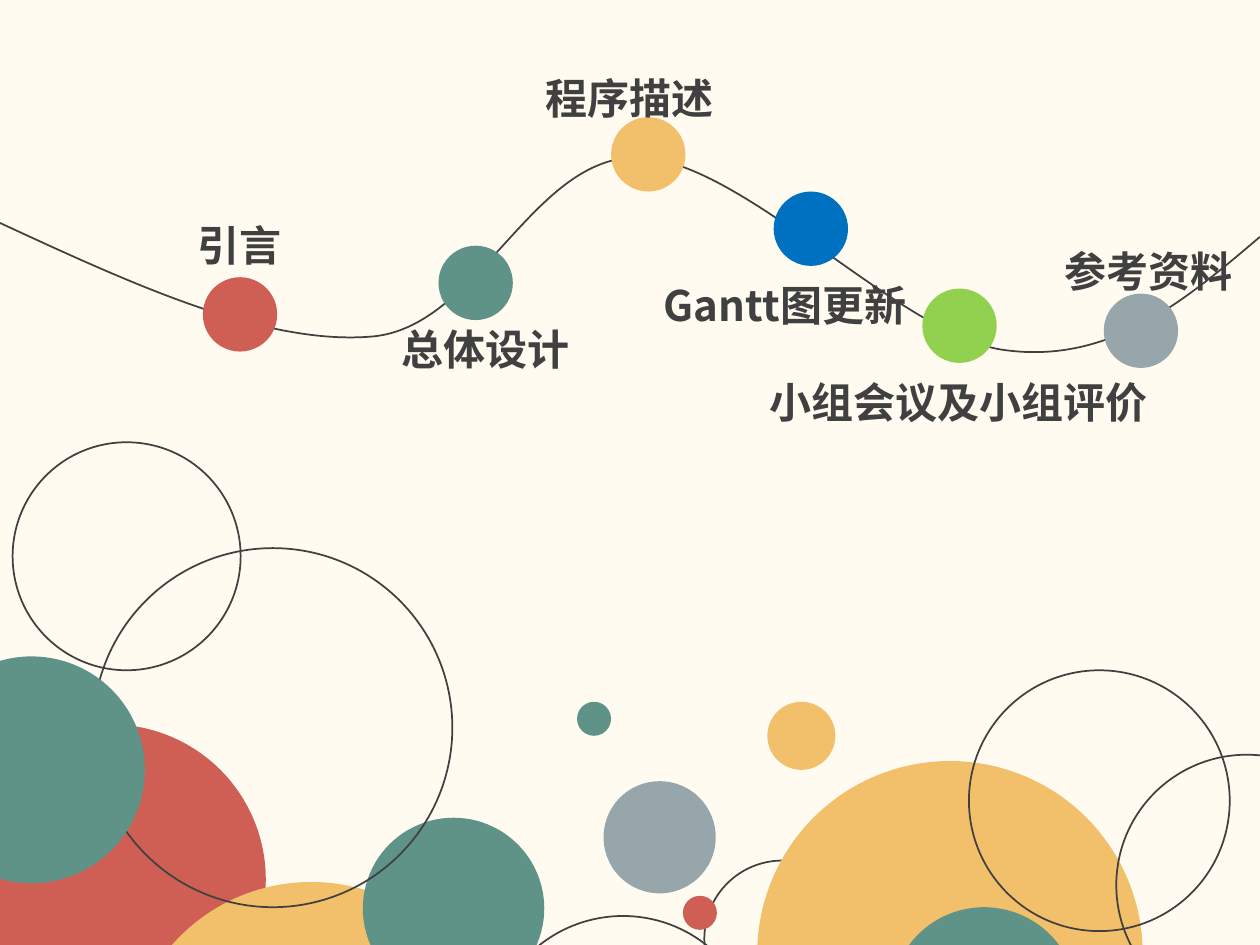
from lxml import etree
from pptx import Presentation
from pptx.dml.color import RGBColor
from pptx.enum.shapes import MSO_SHAPE
from pptx.enum.text import MSO_AUTO_SIZE
from pptx.oxml.ns import qn
from pptx.util import Inches, Pt

OVAL = MSO_SHAPE.OVAL
GROW = MSO_AUTO_SIZE.SHAPE_TO_FIT_TEXT
BLANK_LAYOUT = 6

FONT = "Noto Sans CJK SC"
CREAM, INK = "FFFBF0", "404040"
RED, YELLOW, GREEN, GREY = "CF5F55", "F2C06B", "5F9387", "97A6AB"
BLUE, LIME = "0070C0", "92D050"

# left, top, diameter, fill (None draws a ring), from back to front
BUBBLES = [
    (-0.35, 5.75, 2.46, RED),
    (1, 7, 2.94, YELLOW),
    (2.88, 6.49, 1.44, GREEN),
    (3.88, 7.27, 2.13, None),
    (0.74, 4.35, 2.85, None),
    (-0.65, 5.21, 1.8, GREEN),
    (5.59, 6.83, 1.24, None),
    (6.01, 6.04, 3.06, YELLOW),
    (7.07, 7.2, 1.48, GREEN),
    (7.69, 5.32, 2.07, None),
    (8.86, 5.99, 2.07, None),
    (4.79, 6.2, 0.89, GREY),
    (5.42, 7.11, 0.27, RED),
    (4.58, 5.57, 0.27, GREEN),
    (6.09, 5.57, 0.54, YELLOW),
    (0.1, 3.51, 1.81, None),
]

ROUTE_START = (0, 1.77)
# first control point, second control point, end point
ROUTE_CURVES = [
    ((1.06, 2.26), (2.12, 2.75), (2.97, 2.67)),
    ((3.81, 2.58), (4.23, 1.23), (5.07, 1.25)),
    ((5.9, 1.27), (7.16, 2.68), (7.98, 2.78)),
    ((8.81, 2.89), (9.4, 2.39), (10, 1.88)),
]

STOP_SIZE = 0.59
LABEL_HEIGHT = 0.5
# chapter, stop (left, top), colour, label (left, top, width)
CHAPTERS = [
    ("引言", (1.61, 2.2), RED, (1.47, 1.69, 3.68)),
    ("总体设计", (3.48, 1.95), GREEN, (3.09, 2.52, 2.56)),
    ("程序描述", (4.85, 0.93), YELLOW, (4.23, 0.53, 5.58)),
    ("Gantt图更新", (6.14, 1.52), BLUE, (5.17, 2.17, 2.17)),
    ("小组会议及小组评价", (7.32, 2.29), LIME, (6.01, 2.94, 3.54)),
    ("参考资料", (8.76, 2.33), GREY, (8.35, 1.9, 1.61)),
]


def rgb(hex_colour):
    return RGBColor.from_string(hex_colour)


def style_shape(shape, fill):
    """Fill the shape without an outline, or outline it when fill is None."""
    shape.shadow.inherit = False
    if fill:
        shape.fill.solid()
        shape.fill.fore_color.rgb = rgb(fill)
        shape.line.fill.background()
    else:
        shape.fill.background()
        shape.line.color.rgb = rgb(INK)
        shape.line.width = Pt(1)


def add_circle(slide, left, top, diameter, fill):
    size = Inches(diameter)
    circle = slide.shapes.add_shape(OVAL, Inches(left), Inches(top), size, size)
    style_shape(circle, fill)


def add_route(slide):
    """Draw the route through its end points, then bend each leg into a Bézier curve."""
    points = [ROUTE_START] + [end for _, _, end in ROUTE_CURVES]
    (start, *ends) = [(Inches(x), Inches(y)) for x, y in points]
    builder = slide.shapes.build_freeform(*start)
    builder.add_line_segments(ends, close=False)
    route = builder.convert_to_shape()
    style_shape(route, None)

    legs = list(route._element.iter(qn("a:lnTo")))
    for leg, (first, second, _) in zip(legs, ROUTE_CURVES):
        leg.tag = qn("a:cubicBezTo")
        for index, (x, y) in enumerate((first, second)):
            control = etree.Element(qn("a:pt"))
            control.set("x", str(Inches(x) - route.left))
            control.set("y", str(Inches(y) - route.top))
            leg.insert(index, control)


def add_label(slide, text, left, top, width):
    label = slide.shapes.add_textbox(
        Inches(left), Inches(top), Inches(width), Inches(LABEL_HEIGHT))
    frame = label.text_frame
    frame.word_wrap = True
    frame.auto_size = GROW
    paragraph = frame.paragraphs[0]
    paragraph.text = text
    font = paragraph.font
    font.name, font.size, font.bold = FONT, Pt(24), True
    font.color.rgb = rgb(INK)
    east_asian = etree.SubElement(font._element, qn("a:ea"))
    east_asian.set("typeface", FONT)


def main():
    presentation = Presentation()
    presentation.slide_width, presentation.slide_height = Inches(10), Inches(7.5)
    slide = presentation.slides.add_slide(presentation.slide_layouts[BLANK_LAYOUT])
    background = slide.background.fill
    background.solid()
    background.fore_color.rgb = rgb(CREAM)

    for bubble in BUBBLES:
        add_circle(slide, *bubble)
    add_route(slide)
    for chapter, stop, colour, label in CHAPTERS:
        add_circle(slide, *stop, STOP_SIZE, colour)
        add_label(slide, chapter, *label)

    presentation.save("out.pptx")


if __name__ == "__main__":
    main()
